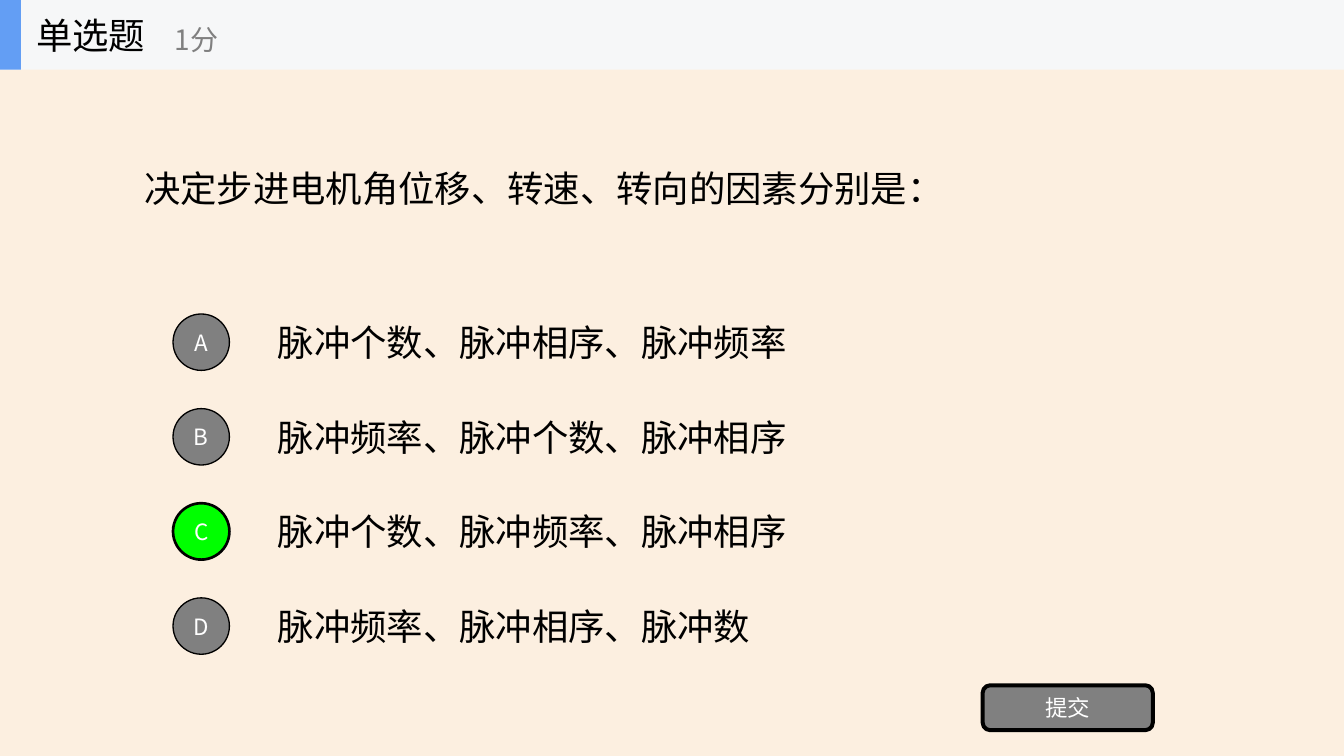
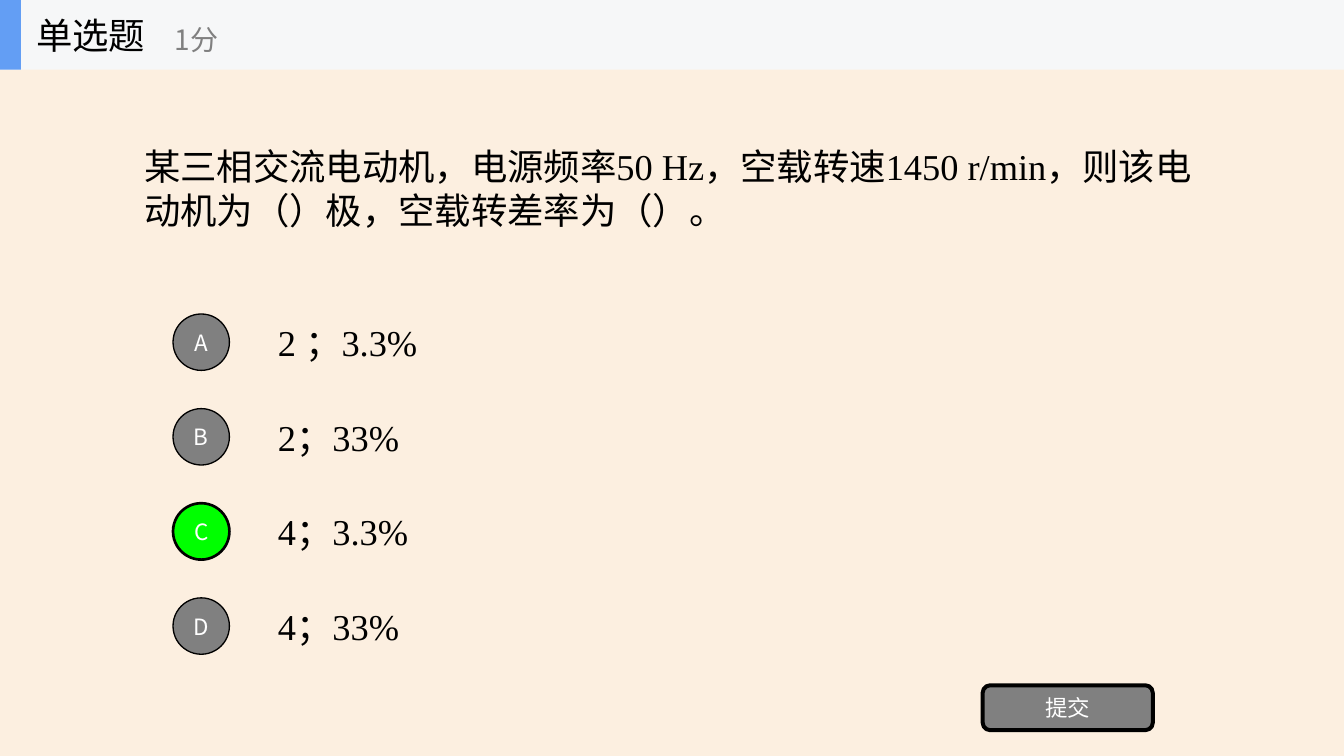
from dataclasses import dataclass

from lxml.etree import SubElement
from pptx import Presentation
from pptx.dml.color import RGBColor as RGB
from pptx.enum.shapes import MSO_SHAPE as Kind
from pptx.enum.text import MSO_ANCHOR as Anchor, PP_ALIGN as Align
from pptx.oxml.ns import qn
from pptx.util import Inches, Pt

HEAD = "单选题"
SCORE = "1分"
SUBMIT = "提交"

QUIZ = [
    {
        "ask": "决定步进电机角位移、转速、转向的因素分别是：",
        "picks": [
            "脉冲个数、脉冲相序、脉冲频率",
            "脉冲频率、脉冲个数、脉冲相序",
            "脉冲个数、脉冲频率、脉冲相序",
            "脉冲频率、脉冲相序、脉冲数",
        ],
        "right": "C",
        "font": "Noto Sans CJK SC",
    },
    {
        "ask": "某三相交流电动机，电源频率50 Hz，空载转速1450 r/min，"
               "则该电动机为（）极，空载转差率为（）。",
        "picks": ["2 ；3.3%", "2；33%", "4；3.3%", "4；33%"],
        "right": "C",
        "font": "Times New Roman",
    },
]


@dataclass(frozen=True)
class Theme:
    font: str = "Noto Sans CJK SC"
    page: str = "FCEFE0"
    band: str = "F6F7F8"
    accent: str = "639EF4"
    ink: str = "000000"
    grey: str = "808080"
    right: str = "00FF00"
    white: str = "FFFFFF"
    large: float = 27.4
    medium: float = 21.1
    small: float = 16.9


LOOK = Theme()
WIDTH, HEIGHT = 14.06, 7.91
BAND = 0.73
ROW, STEP = 3.21, 0.99
PICK = 0.74
BADGE = 0.59


def write(shape, text, size=LOOK.large, color=LOOK.ink, font=LOOK.font,
          align=Align.LEFT, inset=0.1):
    frame = shape.text_frame
    frame.word_wrap = True
    frame.vertical_anchor = Anchor.MIDDLE
    frame.margin_left = frame.margin_right = Inches(inset)
    para = frame.paragraphs[0]
    para.alignment = align
    run = para.add_run()
    run.text = text
    run.font.size = Pt(size)
    run.font.color.rgb = RGB.from_string(color)
    run.font.name = font
    SubElement(run.font._element, qn("a:ea"), typeface=LOOK.font)


def label(shapes, box, text, **form):
    write(shapes.add_textbox(*map(Inches, box)), text, **form)


def block(shapes, kind, box, fill, line=0):
    shape = shapes.add_shape(kind, *map(Inches, box))
    shape.shadow.inherit = False
    shape.fill.solid()
    shape.fill.fore_color.rgb = RGB.from_string(fill)
    if line:
        shape.line.color.rgb = RGB.from_string(LOOK.ink)
        shape.line.width = Pt(line)
    else:
        shape.line.fill.background()
    return shape


def button(shapes, kind, box, text, fill, line):
    shape = block(shapes, kind, box, fill, line)
    write(shape, text, size=LOOK.small, color=LOOK.white,
          align=Align.CENTER, inset=0)


def header(slide):
    shapes = slide.shapes.add_group_shape().shapes
    block(shapes, Kind.RECTANGLE, (0, 0, WIDTH, BAND), LOOK.band)
    block(shapes, Kind.RECTANGLE, (0, 0, 0.22, BAND), LOOK.accent)
    label(shapes, (0.28, 0, 2.2, BAND), HEAD)
    label(shapes, (1.73, 0.12, 2.64, 0.59), SCORE,
          size=LOOK.medium, color=LOOK.grey)


def question(slide, item):
    shapes = slide.shapes
    label(shapes, (1.41, BAND, 11.25, 2.47), item["ask"], font=item["font"])
    for row, (mark, pick) in enumerate(zip("ABCD", item["picks"])):
        top = ROW + row * STEP
        label(shapes, (2.81, top, 9.84, PICK), pick, font=item["font"])
        fill, line = (LOOK.right, 2) if mark == item["right"] else (LOOK.grey, 1)
        box = (1.81, top + (PICK - BADGE) / 2, BADGE, BADGE)
        button(shapes, Kind.OVAL, box, mark, fill, line)
    button(shapes, Kind.ROUNDED_RECTANGLE, (10.28, 7.17, 1.78, 0.47),
           SUBMIT, LOOK.grey, 3)


def main():
    deck = Presentation()
    deck.slide_width, deck.slide_height = Inches(WIDTH), Inches(HEIGHT)
    back = deck.slide_master.background.fill
    back.solid()
    back.fore_color.rgb = RGB.from_string(LOOK.page)
    for item in QUIZ:
        slide = deck.slides.add_slide(deck.slide_layouts[6])
        question(slide, item)
        header(slide)
    deck.save("out.pptx")


if __name__ == "__main__":
    main()
